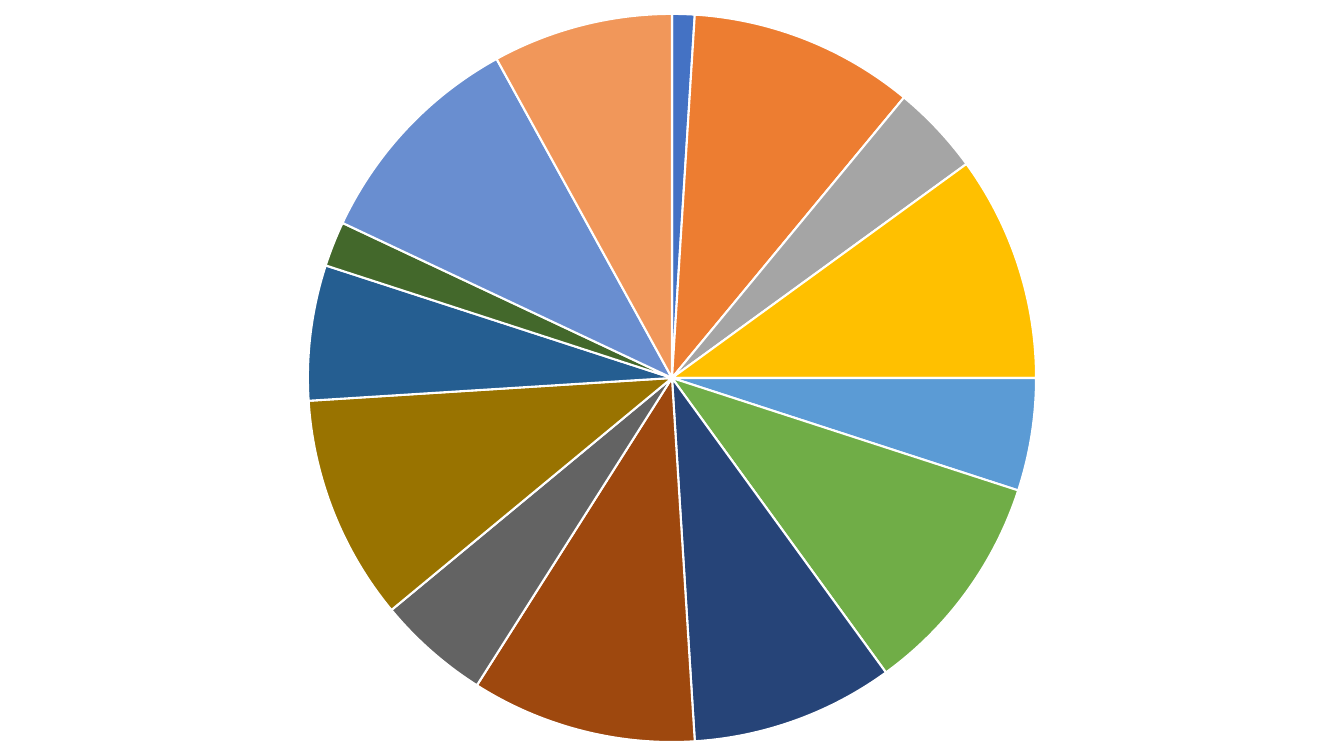
from dataclasses import dataclass

from pptx import Presentation
from pptx.chart.data import CategoryChartData
from pptx.chart.point import Point
from pptx.dml.color import RGBColor
from pptx.enum.chart import XL_CHART_TYPE
from pptx.util import Emu, Pt

PIE = XL_CHART_TYPE.PIE
SLIDE_W, SLIDE_H = 1344, 756
EMU_PER_PX = 12192000 / SLIDE_W


def px(n):
    return Emu(round(n * EMU_PER_PX))


@dataclass(frozen=True)
class Theme:
    font: str = "Noto Sans CJK SC"
    text: str = "000000"
    border: str = "FFFFFF"
    text_size: int = 10
    border_width: float = 1.5
    slices: tuple = (
        "4472C4", "ED7D31", "A5A5A5", "FFC000", "5B9BD5",
        "70AD47", "264478", "9E480E", "636363", "997300",
        "255E91", "43682B", "698ED0", "F1975A", "B7B7B7",
    )


class SlideBuilder:
    def __init__(self, prs, theme):
        self.theme = theme
        self.slide = prs.slides.add_slide(prs.slide_layouts[6])

    def pie(self, x, y, w, h, name, categories, values):
        data = CategoryChartData()
        data.categories = categories
        data.add_series(name, values)
        chart = self.slide.shapes.add_chart(
            PIE, px(x), px(y), px(w), px(h), data).chart
        chart.has_title = False
        chart.has_legend = False
        chart.font.name = self.theme.font
        chart.font.size = Pt(self.theme.text_size)
        chart.font.color.rgb = RGBColor.from_string(self.theme.text)

        # Slice colours and separators; there are more slices than categories,
        # so points are addressed directly rather than through series.points
        plot = chart.plots[0]
        plot.vary_by_categories = True
        ser = plot.series[0]._element
        for i, color in enumerate(self.theme.slices):
            fmt = Point(ser, i).format
            fmt.fill.solid()
            fmt.fill.fore_color.rgb = RGBColor.from_string(color)
            fmt.line.color.rgb = RGBColor.from_string(self.theme.border)
            fmt.line.width = Pt(self.theme.border_width)


def main():
    prs = Presentation()
    prs.slide_width, prs.slide_height = px(SLIDE_W), px(SLIDE_H)

    # Full-slide pie; the last slice has no value
    builder = SlideBuilder(prs, Theme())
    builder.pie(0, 0, SLIDE_W, SLIDE_H, "Series 1", ["1", "2", "3", "4"],
                [1, 10, 4, 10, 5, 10, 9, 10, 5, 10, 6, 2, 10, 8, None])

    prs.save("out.pptx")


if __name__ == "__main__":
    main()
